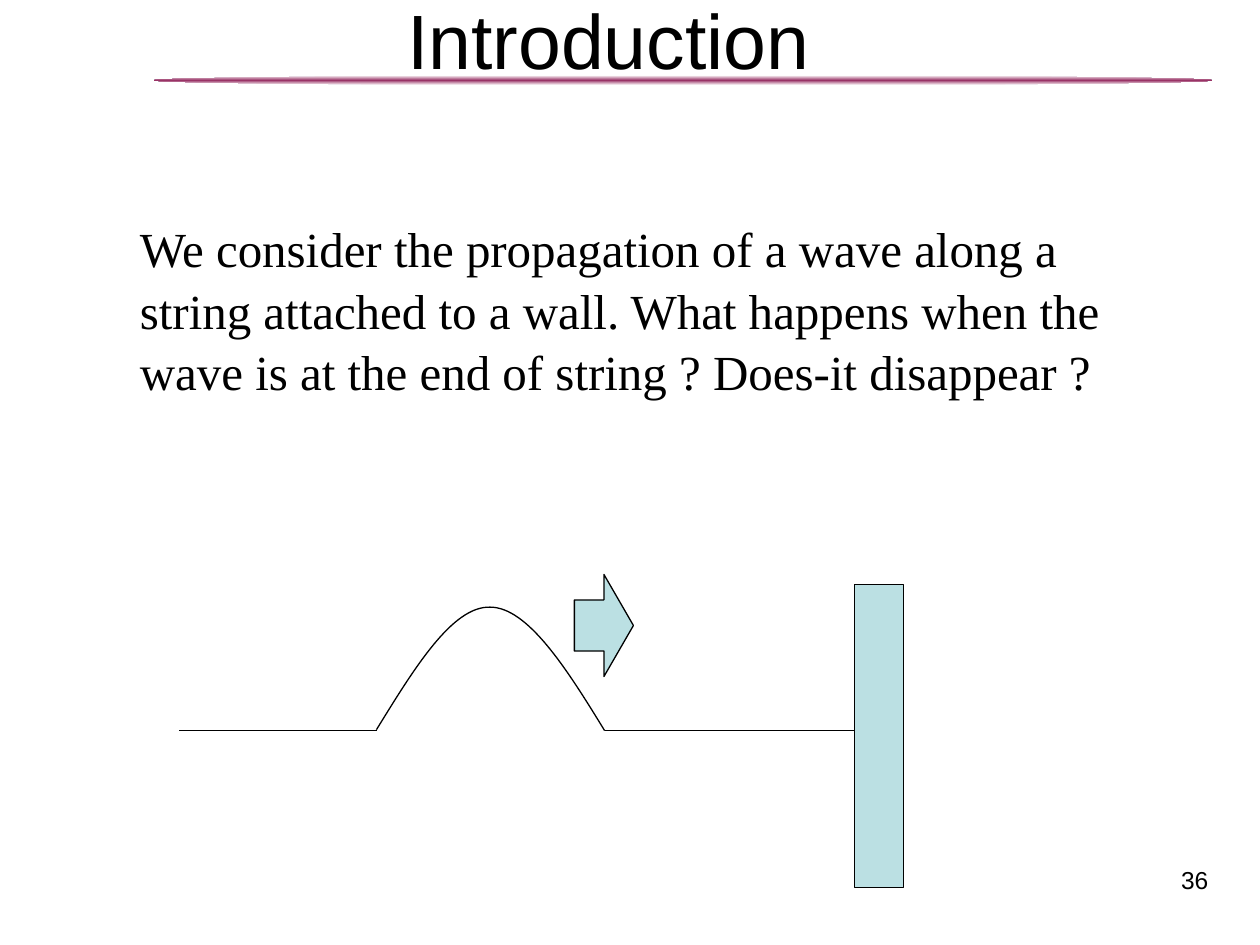
import copy
from dataclasses import dataclass

import pptx
import pptx.dml.color
import pptx.enum.shapes
import pptx.enum.text
import pptx.oxml.ns
import pptx.oxml.xmlchemy
import pptx.util

Cm = pptx.util.Cm
Pt = pptx.util.Pt
RGBColor = pptx.dml.color.RGBColor
ShapeType = pptx.enum.shapes.MSO_SHAPE
Align = pptx.enum.text.PP_ALIGN
qualified = pptx.oxml.ns.qn
new_element = pptx.oxml.xmlchemy.OxmlElement


@dataclass(frozen=True)
class Theme:
    ink: RGBColor = RGBColor(0x00, 0x00, 0x00)
    paper: RGBColor = RGBColor(0xFF, 0xFF, 0xFF)
    accent: RGBColor = RGBColor(0x99, 0x33, 0x66)
    solid: RGBColor = RGBColor(0xBB, 0xE0, 0xE3)
    heading_font: str = "Arial"
    body_font: str = "Times New Roman"
    title_size: Pt = Pt(44)
    body_size: Pt = Pt(28)
    number_size: Pt = Pt(14)
    line_width: Pt = Pt(0.75)


THEME = Theme()
STRING_LEVEL = 14.73
PULSE_START = 7.59
PULSE_END = 12.19
WALL_LEFT = 17.22


def apply_format(target, values):
    for name, value in values.items():
        setattr(target, name, value)


def style_line(line):
    line.color.rgb = THEME.ink
    line.width = THEME.line_width


def add_text(slide, box, text, font_values, paragraph_values):
    text_box = slide.shapes.add_textbox(*map(Cm, box))
    text_box.text_frame.word_wrap = True
    paragraph = text_box.text_frame.paragraphs[0]
    paragraph.text = text
    apply_format(paragraph, paragraph_values)
    apply_format(paragraph.runs[0].font, font_values)
    paragraph.runs[0].font.color.rgb = THEME.ink


def add_solid(slide, shape_type, box):
    shape = slide.shapes.add_shape(shape_type, *map(Cm, box))
    shape.shadow.inherit = False
    shape.fill.solid()
    shape.fill.fore_color.rgb = THEME.solid
    style_line(shape.line)


def add_title_rule(slide, box):
    shape = slide.shapes.add_shape(ShapeType.OVAL, *map(Cm, box))
    shape.shadow.inherit = False
    shape.line.fill.background()
    shape.fill.gradient()
    shape.fill.gradient_angle = 90
    first, last = shape.fill.gradient_stops
    first.color.rgb = THEME.paper
    last.color.rgb = THEME.accent
    last.position = 0.5
    stops = shape.element.spPr.find(".//" + qualified("a:gsLst"))
    closing_stop = copy.deepcopy(stops[0])
    closing_stop.set("pos", "100000")
    stops.append(closing_stop)


def add_string(slide, start, end):
    level = Cm(STRING_LEVEL)
    connector = slide.shapes.add_connector(
        pptx.enum.shapes.MSO_CONNECTOR.STRAIGHT, Cm(start), level, Cm(end), level
    )
    style_line(connector.line)
    connector._element.spPr.append(new_element("a:effectLst"))


def add_curve(slide, points):
    start, *rest = [(Cm(x), Cm(y)) for x, y in points]
    builder = slide.shapes.build_freeform(*start)
    builder.add_line_segments(rest, close=False)
    shape = builder.convert_to_shape()
    shape.shadow.inherit = False
    shape.fill.background()
    style_line(shape.line)
    path = shape.element.spPr.find(".//" + qualified("a:path"))
    segments = path.findall(qualified("a:lnTo"))
    for index in range(0, len(segments), 3):
        bezier = new_element("a:cubicBezTo")
        path.append(bezier)
        for segment in segments[index:index + 3]:
            bezier.append(segment[0])
            path.remove(segment)


def main():
    presentation = pptx.Presentation()
    presentation.slide_width = Cm(25.4)
    presentation.slide_height = Cm(19.05)
    slide = presentation.slides.add_slide(presentation.slide_layouts[6])

    add_title_rule(slide, (3.1, 1.52, 21.34, 0.2))
    add_text(
        slide, (18.69, 17.32, 5.92, 1.14), "36",
        {"name": THEME.heading_font, "size": THEME.number_size},
        {"alignment": Align.RIGHT},
    )
    add_text(
        slide, (0.84, -0.28, 22.86, 3.18), "Introduction",
        {"name": THEME.heading_font, "size": THEME.title_size},
        {"alignment": Align.CENTER},
    )
    add_curve(slide, [
        (PULSE_START, 14.71), (8.36, 13.46), (9.12, 12.22), (9.88, 12.24),
        (10.64, 12.24), (11.43, 13.49), (PULSE_END, STRING_LEVEL),
    ])
    add_string(slide, PULSE_START, 3.61)
    add_string(slide, PULSE_END, WALL_LEFT)
    add_text(
        slide, (2.57, 4.22, 20.4, 3.84),
        "We consider the propagation of a wave along a string attached to a wall. "
        "What happens when the wave is at the end of string ? Does-it disappear ?",
        {"name": THEME.body_font, "size": THEME.body_size},
        {"alignment": Align.LEFT, "line_spacing": 1.05},
    )
    add_solid(slide, ShapeType.RECTANGLE, (WALL_LEFT, 11.79, 0.99, 6.1))
    add_solid(slide, ShapeType.RIGHT_ARROW, (11.58, 11.58, 1.19, 2.06))

    presentation.save("out.pptx")


if __name__ == "__main__":
    main()
